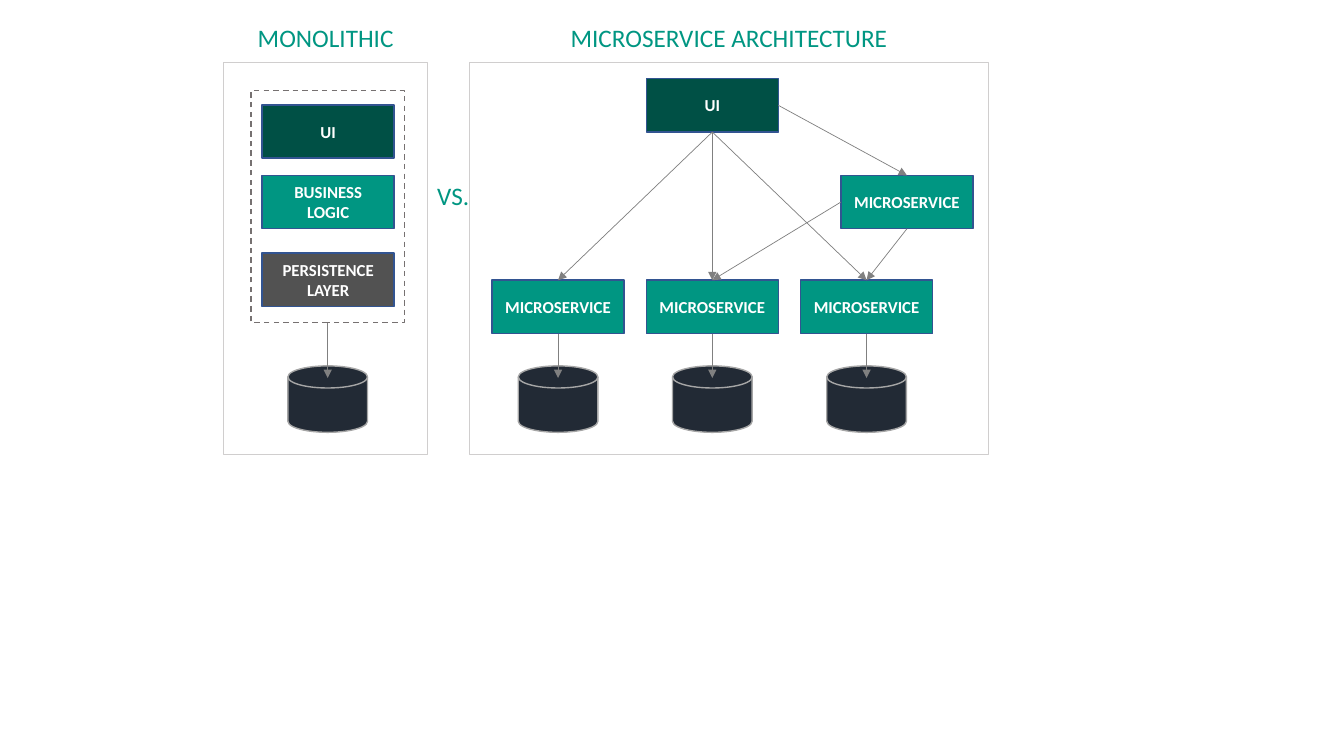
"""Build a slide comparing a monolithic and a microservice architecture."""
from dataclasses import dataclass

from lxml.etree import SubElement
from pptx import Presentation
from pptx.dml.color import RGBColor
from pptx.enum.dml import MSO_LINE_DASH_STYLE as DASH
from pptx.enum.shapes import MSO_CONNECTOR, MSO_SHAPE
from pptx.enum.text import MSO_ANCHOR, PP_ALIGN
from pptx.oxml.ns import qn
from pptx.util import Inches, Pt


@dataclass(frozen=True)
class Theme:
    font: str = "Calibri"
    heading_size: int = 18
    box_size: int = 12
    teal: str = "009682"
    dark_teal: str = "005045"
    gray: str = "525252"
    navy: str = "222A35"
    white: str = "FFFFFF"
    panel_line: str = "D0CECE"
    dash_line: str = "767171"
    box_line: str = "325491"
    disk_line: str = "A6A6A6"
    arrow: str = "808080"


THEME = Theme()
BOX_W, BOX_H = 1.31, 0.53
DISK_W, DISK_H, DISK_TOP, DISK_ENTRY = 0.79, 0.66, 3.63, 3.75
PANEL_TOP, PANEL_H = 0.62, 3.89
HEADING_TOP, HEADING_H = 0.17, 0.4
SERVICE_LEFT, SERVICE_TOP, SERVICE_PITCH = 4.88, 2.78, 1.53
TOP, LEFT, BOTTOM, RIGHT = range(4)

PANELS = [("MONOLITHIC", 2.22, 2.02), ("MICROSERVICE ARCHITECTURE", 4.66, 5.14)]
VERSUS = ("VS.", 4.22, 1.74, 0.55)
MONOLITH = (2.49, 0.9, 1.52, 2.3)
SERVICES = ["service 1", "service 2", "service 3"]
BOXES = {
    "mono ui": (["UI"], 2.6, 1.04, THEME.dark_teal),
    "logic": (["BUSINESS", "LOGIC"], 2.6, 1.74, THEME.teal),
    "persistence": (["PERSISTENCE LAYER"], 2.6, 2.51, THEME.gray),
    "ui": (["UI"], 6.41, 0.78, THEME.dark_teal),
    "gateway": (["MICROSERVICE"], 8.34, 1.74, THEME.teal),
}
for i, name in enumerate(SERVICES):
    left = SERVICE_LEFT + i * SERVICE_PITCH
    BOXES[name] = (["MICROSERVICE"], left, SERVICE_TOP, THEME.teal)
CALLS = [
    ("ui", BOTTOM, "service 1"),
    ("ui", BOTTOM, "service 2"),
    ("ui", BOTTOM, "service 3"),
    ("ui", RIGHT, "gateway"),
    ("gateway", BOTTOM, "service 3"),
    ("gateway", LEFT, "service 2"),
]


def color(value):
    return RGBColor.from_string(value)


def add_block(s, kind, box, fill, line, width=1):
    sp = s.shapes.add_shape(kind, *map(Inches, box))
    sp.shadow.inherit = False
    sp.fill.solid()
    sp.fill.fore_color.rgb = color(fill)
    sp.line.color.rgb = color(line)
    sp.line.width = Pt(width)
    return sp


def write(sp, lines, size, text_color, bold=False):
    tf = sp.text_frame
    tf.word_wrap = True
    for i, text in enumerate(lines):
        p = tf.add_paragraph() if i else tf.paragraphs[0]
        p.text = text
        p.alignment = PP_ALIGN.CENTER
        p.font.name, p.font.size, p.font.bold = THEME.font, Pt(size), bold
        p.font.color.rgb = color(text_color)
    return tf


def add_heading(s, text, left, top, width):
    sp = s.shapes.add_textbox(*map(Inches, (left, top, width, HEADING_H)))
    tf = write(sp, [text], THEME.heading_size, THEME.teal)
    tf.margin_left = tf.margin_right = 0


def add_arrow(s, source, site, target=None):
    line = s.shapes.add_connector(MSO_CONNECTOR.STRAIGHT, 0, 0, 0, 0)
    line.begin_connect(source, site)
    if target is None:
        line.end_x, line.end_y = line.begin_x, Inches(DISK_ENTRY)
    else:
        line.end_connect(target, TOP)
    line.line.color.rgb = color(THEME.arrow)
    line.line.width = Pt(0.5)
    SubElement(line.line._get_or_add_ln(), qn("a:tailEnd"), type="triangle")
    SubElement(line._element.spPr, qn("a:effectLst"))


def main():
    prs = Presentation()
    prs.slide_width, prs.slide_height = Inches(13.33), Inches(7.5)
    s = prs.slides.add_slide(prs.slide_layouts[6])

    for title, left, width in PANELS:
        panel = (left, PANEL_TOP, width, PANEL_H)
        add_block(s, MSO_SHAPE.RECTANGLE, panel, THEME.white, THEME.panel_line, 0.5)
        add_heading(s, title, left, HEADING_TOP, width)
    add_heading(s, *VERSUS)

    monolith = add_block(s, MSO_SHAPE.RECTANGLE, MONOLITH, THEME.white, THEME.dash_line)
    monolith.line.dash_style = DASH.DASH

    shapes = {}
    for name, (lines, left, top, fill) in BOXES.items():
        box = (left, top, BOX_W, BOX_H)
        sp = add_block(s, MSO_SHAPE.RECTANGLE, box, fill, THEME.box_line)
        tf = write(sp, lines, THEME.box_size, THEME.white, bold=True)
        tf.vertical_anchor = MSO_ANCHOR.MIDDLE
        shapes[name] = sp

    for owner in [monolith] + [shapes[name] for name in SERVICES]:
        left = (owner.left + owner.width / 2) / Inches(1) - DISK_W / 2
        disk = (left, DISK_TOP, DISK_W, DISK_H)
        add_block(s, MSO_SHAPE.FLOWCHART_MAGNETIC_DISK, disk, THEME.navy, THEME.disk_line)
        add_arrow(s, owner, BOTTOM)

    for source, site, target in CALLS:
        add_arrow(s, shapes[source], site, shapes[target])

    prs.save("out.pptx")


if __name__ == "__main__":
    main()
